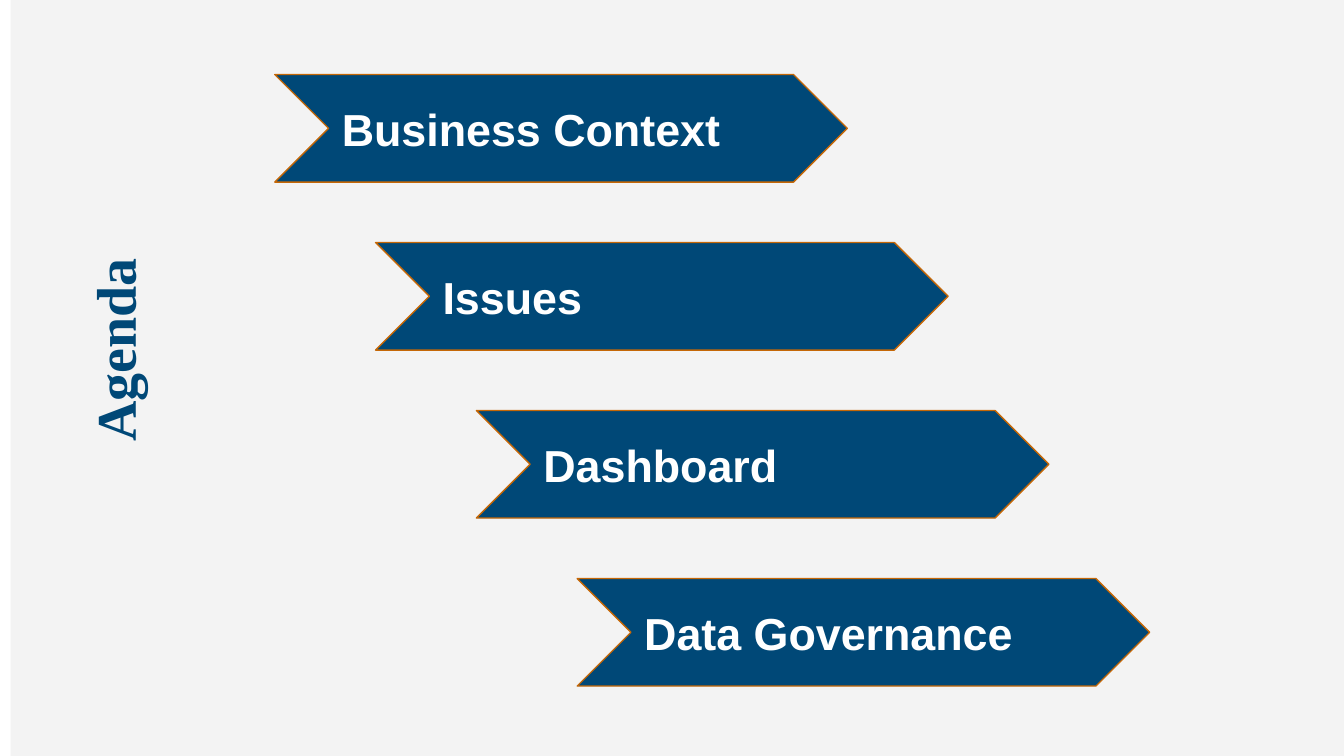
"""Build the agenda slide with its staircase of chevrons."""
from dataclasses import dataclass

from pptx import Presentation
from pptx.dml.color import RGBColor as Rgb
from pptx.enum.shapes import MSO_SHAPE as Shape
from pptx.enum.text import MSO_ANCHOR as Anchor, PP_ALIGN as Align
from pptx.util import Pt

SCALE = 4572
WIDTH, HEIGHT = 2000, 1125
COLORS = {"panel": "F3F3F3", "navy": "004877", "edge": "C56706", "white": "FFFFFF"}
TOPICS = ("Business Context", "Issues", "Dashboard", "Data Governance")


@dataclass(frozen=True)
class Box:
    left: int
    top: int
    width: int
    height: int

    def emu(self) -> list[int]:
        return [n * SCALE for n in (self.left, self.top, self.width, self.height)]


@dataclass(frozen=True)
class Label:
    text: str
    font: str
    size: int
    color: str
    align: Align
    anchor: Anchor


def color(name: str) -> Rgb:
    return Rgb.from_string(COLORS[name])


def write(shape, label: Label) -> None:
    frame = shape.text_frame
    inset = 20 * SCALE
    layout = {"word_wrap": True, "vertical_anchor": label.anchor,
              "margin_left": inset, "margin_right": inset,
              "margin_top": inset, "margin_bottom": inset}
    for key, value in layout.items():
        setattr(frame, key, value)
    line = frame.paragraphs[0]
    line.alignment = label.align
    run = line.add_run()
    run.text = label.text
    style = {"name": label.font, "size": Pt(label.size), "bold": True}
    for key, value in style.items():
        setattr(run.font, key, value)
    run.font.color.rgb = color(label.color)


def draw_shape(slide, kind: Shape, box: Box, fill: str):
    shape = slide.shapes.add_shape(kind, *box.emu())
    shape.shadow.inherit = False
    shape.fill.solid()
    shape.fill.fore_color.rgb = color(fill)
    shape.line.fill.background()
    return shape


def draw_title(slide, box: Box, label: Label) -> None:
    title = slide.shapes.add_textbox(*box.emu())
    title.rotation = 270
    write(title, label)


def draw_step(slide, box: Box, text: str) -> None:
    step = draw_shape(slide, Shape.CHEVRON, box, "navy")
    step.adjustments[0] = 0.5
    step.line.color.rgb = color("edge")
    step.line.width = Pt(0.75)
    write(step, Label(text, "Arial", 24, "white", Align.LEFT, Anchor.MIDDLE))


def main() -> None:
    deck = Presentation()
    deck.slide_width, deck.slide_height = WIDTH * SCALE, HEIGHT * SCALE
    slide = deck.slides.add_slide(deck.slide_layouts[6])
    draw_shape(slide, Shape.RECTANGLE, Box(16, 0, WIDTH - 16, HEIGHT), "panel")
    draw_title(slide, Box(-320, 440, 956, 162),
               Label("Agenda", "Times New Roman", 30, "navy", Align.CENTER, Anchor.BOTTOM))
    for i, topic in enumerate(TOPICS):
        draw_step(slide, Box(409 + 150 * i, 111 + 250 * i, 852, 160), topic)
    deck.save("out.pptx")


if __name__ == "__main__":
    main()
